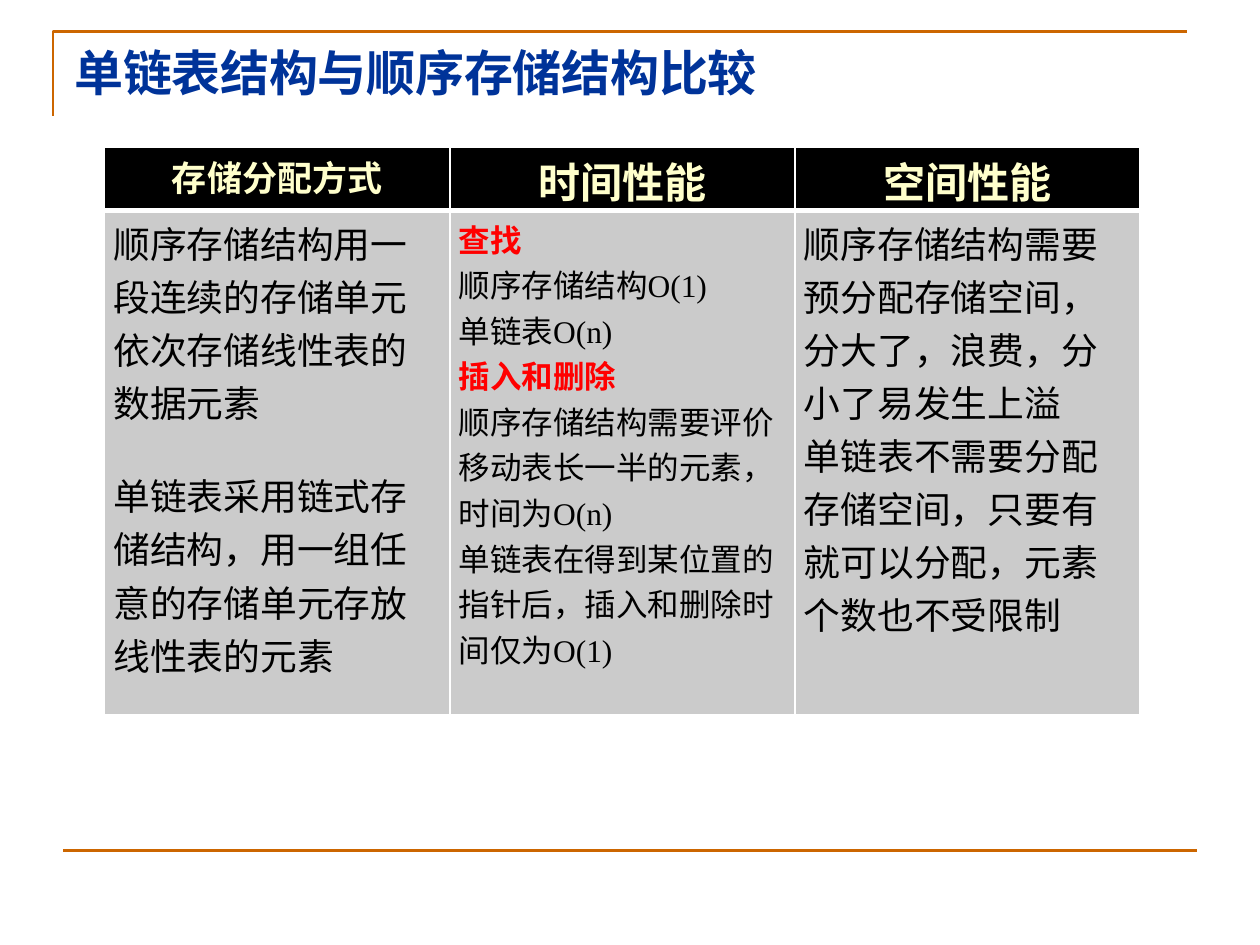
"""Build a slide comparing linked lists with sequential storage."""
from lxml.etree import SubElement
from pptx import Presentation
from pptx.dml.color import RGBColor
from pptx.enum.shapes import MSO_CONNECTOR
from pptx.enum.text import PP_ALIGN
from pptx.oxml.ns import qn
from pptx.util import Inches, Pt

COLORS = {"rule": "CC6600", "title": "003399", "header": "000000", "header_text": "FFFFCC",
          "body": "CBCBCB", "text": "000000", "key": "FF0000", "border": "FFFFFF"}
CJK_FONT, LATIN_FONT = "Noto Sans CJK SC", "Times New Roman"
TITLE = "单链表结构与顺序存储结构比较"
KEYWORDS = ("查找", "插入和删除")
COLUMNS = [
    {"header": "存储分配方式", "header_size": 20, "size": 21, "gap": 23, "body": [
        "顺序存储结构用一段连续的存储单元依次存储线性表的数据元素",
        "单链表采用链式存储结构，用一组任意的存储单元存放线性表的元素"]},
    {"header": "时间性能", "header_size": 24, "size": 18, "gap": 0, "body": [
        "查找", "顺序存储结构O(1)", "单链表O(n)", "插入和删除",
        "顺序存储结构需要评价移动表长一半的元素，时间为O(n)",
        "单链表在得到某位置的指针后，插入和删除时间仅为O(1)"]},
    {"header": "空间性能", "header_size": 24, "size": 21, "gap": 0, "body": [
        "顺序存储结构需要预分配存储空间，分大了，浪费，分小了易发生上溢",
        "单链表不需要分配存储空间，只要有就可以分配，元素个数也不受限制"]},
]
ROW_HEIGHTS = (0.5, 4)
COLUMN_WIDTH = 2.74
CORNER = [(0.42, 0.92), (0.42, 0.25), (9.42, 0.25)]
FOOTER = (0.5, 6.75, 9.5, 6.75)


def color(name):
    return RGBColor.from_string(COLORS[name])


def style(paragraph, size, color_name, bold=False, latin=LATIN_FONT):
    font = paragraph.font
    font.size, font.bold, font.name = Pt(size), bold, latin
    font.color.rgb = color(color_name)
    properties = paragraph._p.pPr.find(qn("a:defRPr"))
    SubElement(properties, qn("a:ea")).set("typeface", CJK_FONT)
    return properties


def add_rules(slide):
    start, *others = [(Inches(x), Inches(y)) for x, y in CORNER]
    builder = slide.shapes.build_freeform(*start)
    builder.add_line_segments(others, close=False)
    corner = builder.convert_to_shape()
    corner.shadow.inherit = False
    corner.fill.background()
    footer = slide.shapes.add_connector(MSO_CONNECTOR.STRAIGHT, *map(Inches, FOOTER))
    SubElement(footer._element.spPr, qn("a:effectLst"))
    for rule in (corner, footer):
        rule.line.color.rgb = color("rule")
        rule.line.width = Pt(1.5)


def add_borders(cell, widths):
    properties = cell._tc.get_or_add_tcPr()
    for index, (side, width) in enumerate(widths.items()):
        line = properties.makeelement(qn(f"a:ln{side}"), {"w": str(Pt(width))})
        fill = SubElement(line, qn("a:solidFill"))
        SubElement(fill, qn("a:srgbClr")).set("val", COLORS["border"])
        properties.insert(index, line)


def fill_cell(cell, fill, texts, gap, widths):
    cell.margin_left = cell.margin_right = Inches(0.07)
    cell.margin_top = cell.margin_bottom = Inches(0.04)
    cell.fill.solid()
    cell.fill.fore_color.rgb = color(fill)
    add_borders(cell, widths)
    cell.text = "\n".join(texts)
    for paragraph in cell.text_frame.paragraphs[1:]:
        paragraph.space_before = Pt(gap)
    return cell.text_frame.paragraphs


def add_comparison(slide):
    frame = slide.shapes.add_table(2, len(COLUMNS), Inches(0.83), Inches(1.17),
                                   Inches(COLUMN_WIDTH * len(COLUMNS)), Inches(sum(ROW_HEIGHTS)))
    table = frame.table
    for row, height in zip(table.rows, ROW_HEIGHTS):
        row.height = Inches(height)
    for index, column in enumerate(COLUMNS):
        table.columns[index].width = Inches(COLUMN_WIDTH)
        header_cell = table.cell(0, index)
        header = fill_cell(header_cell, "header", [column["header"]], 0,
                           {"L": 1, "R": 1, "T": 1, "B": 3})[0]
        header_cell.margin_bottom = 0
        header.alignment = PP_ALIGN.CENTER
        header.line_spacing = 0.95
        style(header, column["header_size"], "header_text", True)
        for paragraph in fill_cell(table.cell(1, index), "body", column["body"], column["gap"],
                                   {"L": 1, "R": 1, "T": 3, "B": 1}):
            is_key = paragraph.text in KEYWORDS
            style(paragraph, column["size"], "key" if is_key else "text", is_key)


def add_title(slide):
    box = slide.shapes.add_textbox(Inches(0.58), Inches(0.32), Inches(5.92), Inches(0.48))
    frame = box.text_frame
    frame.word_wrap = True
    frame.margin_right = frame.margin_bottom = 0
    frame.margin_left = Inches(0.01)
    frame.margin_top = Inches(0.02)
    paragraph = frame.paragraphs[0]
    paragraph.text = TITLE
    style(paragraph, 28, "title", True, CJK_FONT).set("spc", "-10")


presentation = Presentation()
presentation.slide_width, presentation.slide_height = Inches(10), Inches(7.5)
slide = presentation.slides.add_slide(presentation.slide_layouts[6])
add_rules(slide)
add_comparison(slide)
add_title(slide)
presentation.save("out.pptx")
